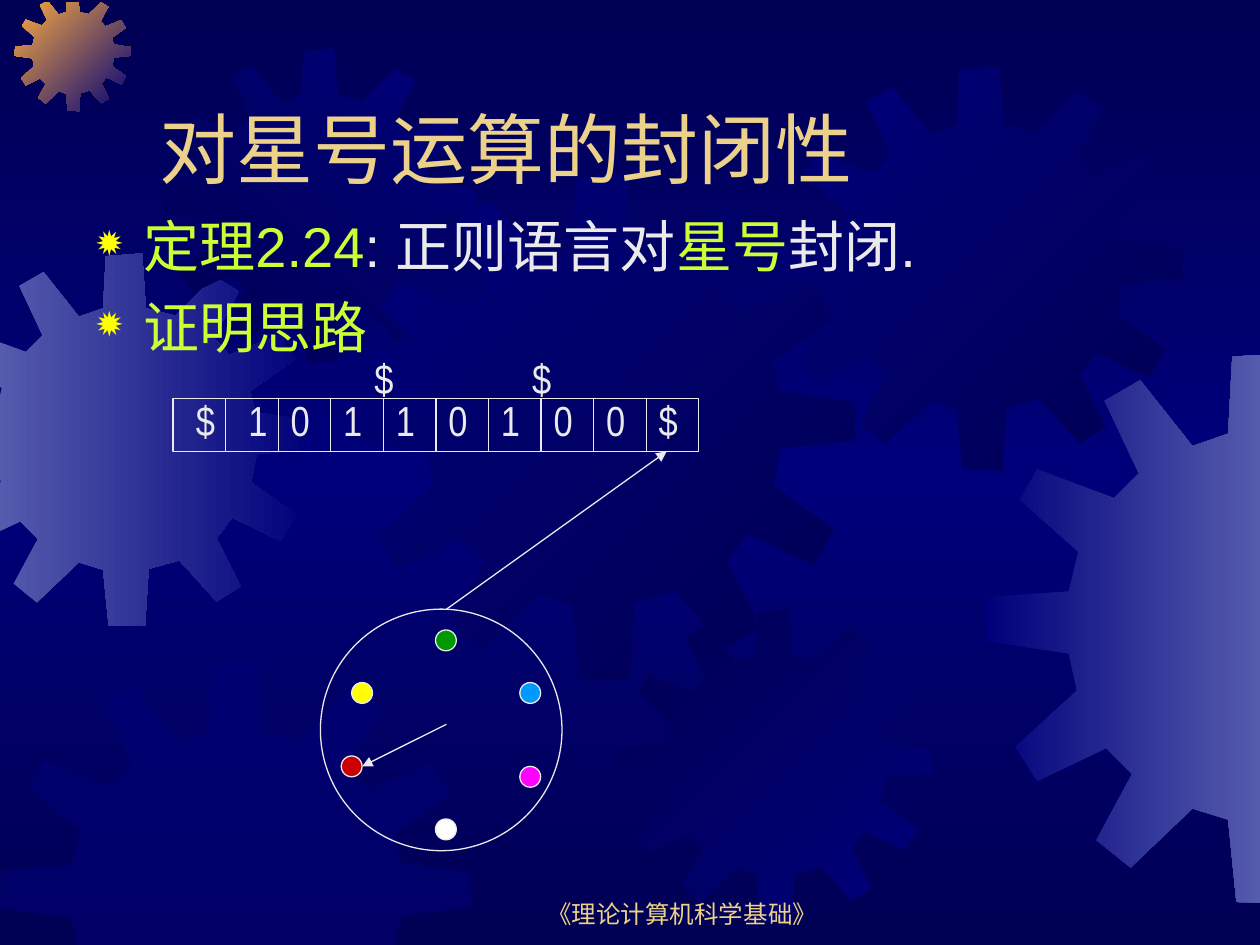
from pptx import Presentation
from pptx import util as u
from pptx.dml import color as col
from pptx.enum import shapes, text
from pptx.oxml import parse_xml
from pptx.oxml import ns
from copy import deepcopy

PALE, GOLD, LIME = "EAEAEA", "EBD189", "CCFF33"
DARK, NAVY, MIST = "000054", "00007A", "555BAD"
SPAN = 401
TEETH = [
    (255, 67), (223, 59), (219, 0), (180, 3), (177, 59), (151, 68),
    (113, 20), (87, 35), (112, 88), (94, 106), (38, 85), (25, 107),
    (68, 145), (61, 174), (1, 178), (0, 210), (61, 219), (67, 246),
    (22, 287), (38, 312), (88, 288), (107, 307), (81, 355), (106, 375),
    (151, 332), (177, 340), (183, 400), (222, 401), (226, 339), (259, 330),
    (299, 374), (325, 358), (299, 306), (316, 284), (368, 309), (384, 281),
    (336, 246), (342, 216), (401, 210), (400, 180), (341, 171), (335, 148),
    (383, 114), (367, 87), (313, 109), (296, 91), (323, 41), (297, 25),
]
EDGES = [(0, -0.03, 1), (0, 25.43, -1), (1, 0.05, 1), (1, 19.15, -1)]


def rgb(code):
    """Turn a hex string into a colour."""
    return col.RGBColor.from_string(code)


def tag(name, **attrs):
    """Make one drawing element."""
    pairs = "".join(f' {key}="{val}"' for key, val in attrs.items())
    return parse_xml(f"<a:{name} {ns.nsdecls('a')}{pairs}/>")


def clip(points, axis, edge, sign):
    """Cut an outline along one straight edge."""
    kept = []
    for a, b in zip(points, points[1:] + points[:1]):
        da, db = sign * (a[axis] - edge), sign * (b[axis] - edge)
        if da >= 0:
            kept.append(a)
        if da * db < 0:
            t = da / (da - db)
            kept.append(tuple(p + t * (q - p) for p, q in zip(a, b)))
    return kept


def blend(fill, first, last, angle):
    """Set a two-colour gradient with a clockwise angle."""
    fill.gradient()
    fill.gradient_angle = (360 - angle) % 360
    for stop, code, place in zip(fill.gradient_stops, (first, last), (0, 1)):
        stop.color.rgb = rgb(code)
        stop.position = place


class Deck:
    """Holds the style and the current slide."""

    def __init__(self):
        """Start a presentation with one title-only slide."""
        self.prs = Presentation()
        self.prs.slide_width, self.prs.slide_height = u.Cm(25.4), u.Cm(19.05)
        self.slide = self.prs.slides.add_slide(self.prs.slide_layouts[5])
        self.shapes = self.slide.shapes
        self.font, self.thin = "Arial", u.Pt(0.75)

    def back(self):
        """Shade the background dark, lighter, dark from top to bottom."""
        fill = self.slide.background.fill
        blend(fill, DARK, NAVY, 90)
        fill.gradient_stops[1].position = 0.5
        stops = self.slide.background._cSld.find(".//" + ns.qn("a:gsLst"))
        end = deepcopy(stops[0])
        end.set("pos", "100000")
        stops.append(end)

    def gear(self, x, y, size, first, last=None, angle=0):
        """Draw a gear wheel, cut at the slide edges."""
        points = [(x + px * size / SPAN, y + py * size / SPAN) for px, py in TEETH]
        for edge in EDGES:
            points = clip(points, *edge)
        points = [(u.Cm(px), u.Cm(py)) for px, py in points]
        pen = self.shapes.build_freeform(*points[0])
        pen.add_line_segments(points[1:])
        wheel = pen.convert_to_shape()
        wheel.shadow.inherit = False
        wheel.line.fill.background()
        if last:
            blend(wheel.fill, first, last, angle)
        else:
            wheel.fill.solid()
            wheel.fill.fore_color.rgb = rgb(first)
            tint = wheel._element.spPr.find(".//" + ns.qn("a:srgbClr"))
            tint.append(tag("alpha", val=50000))

    def style(self, font, size, code, name=None):
        """Format a font."""
        font.size, font.name = u.Pt(size), name or self.font
        font.color.rgb = rgb(code)

    def title(self, words, x, y, w, h):
        """Place and format the title above the gears."""
        head = self.shapes.title
        head.left, head.top, head.width, head.height = map(u.Cm, (x, y, w, h))
        frame = head.text_frame
        frame.text = words
        frame.vertical_anchor = text.MSO_ANCHOR.BOTTOM
        para = frame.paragraphs[0]
        para.alignment = text.PP_ALIGN.LEFT
        self.style(para.runs[0].font, 44, GOLD)
        self.shapes._spTree.append(head._element)

    def box(self, x, y, w, h):
        """Add an empty wrapping text box and return its frame."""
        frame = self.shapes.add_textbox(*map(u.Cm, (x, y, w, h))).text_frame
        frame.word_wrap = True
        return frame

    def label(self, words, x, y, w, h, size, code, name=None):
        """Add one line of text and return its frame."""
        frame = self.box(x, y, w, h)
        frame.text = words
        self.style(frame.paragraphs[0].runs[0].font, size, code, name)
        return frame

    def sign(self, mark, x, y):
        """Write one tape symbol."""
        self.label(mark, x, y, 1.06, 1.27, 24, PALE, "Arial Narrow")

    def points(self, items, x, y, w, h):
        """Add a bulleted list of coloured runs."""
        frame = self.box(x, y, w, h)
        for i, item in enumerate(items):
            para = frame.add_paragraph() if i else frame.paragraphs[0]
            props = para._p.get_or_add_pPr()
            props.set("marL", str(u.Cm(0.95)))
            props.set("indent", str(u.Cm(-0.95)))
            paint = tag("buClr")
            paint.append(tag("srgbClr", val="FFFF00"))
            props.extend([paint, tag("buSzPct", val=80000), tag("buChar", char="✹")])
            if i:
                para.space_before = u.Pt(8)
            for words, code in item:
                run = para.add_run()
                run.text = words
                self.style(run.font, 32, code)

    def shape(self, kind, x, y, w, h, code=None):
        """Draw an outlined shape, filled when a colour is given."""
        item = self.shapes.add_shape(kind, *map(u.Cm, (x, y, w, h)))
        item.shadow.inherit = False
        item.line.color.rgb, item.line.width = rgb(PALE), self.thin
        if code:
            item.fill.solid()
            item.fill.fore_color.rgb = rgb(code)
        else:
            item.fill.background()

    def arrow(self, *ends):
        """Draw a line with a head at its end."""
        line = self.shapes.add_connector(shapes.MSO_CONNECTOR.STRAIGHT, *map(u.Cm, ends))
        line.line.color.rgb, line.line.width = rgb(PALE), self.thin
        line.line._get_or_add_ln().append(tag("tailEnd", type="triangle"))
        line._element.spPr.append(tag("effectLst"))


def main():
    """Build the slide."""
    deck = Deck()
    deck.back()
    for wheel in [
        (-1.24, 5.11, 7.52, MIST, NAVY, 0), (0.3, -0.1, 2.34, "FCAB40", NAVY, 45),
        (3.3, 0.99, 6.3, DARK, NAVY, 315), (7.04, 3.53, 10.2, NAVY, DARK, 45),
        (0, 13.33, 9.5, NAVY), (12.47, 12.29, 6.3, DARK, NAVY, 45),
        (15.7, 1.35, 8.13, NAVY, DARK, 45), (19.86, 7.11, 11.1, NAVY, MIST, 0),
    ]:
        deck.gear(*wheel)
    foot = deck.label("《理论计算机科学基础》", 9.73, 17.58, 8.05, 1.27, 14, GOLD)
    foot.vertical_anchor = text.MSO_ANCHOR.BOTTOM
    foot.paragraphs[0].alignment = text.PP_ALIGN.CENTER
    deck.title("对星号运算的封闭性", 2.96, 0.85, 21.59, 3.18)
    deck.points([
        [("定理2.24", LIME), (": 正则语言对", PALE), ("星号", LIME), ("封闭.", PALE)],
        [("证明思路", LIME)],
    ], 1.69, 4.13, 21.59, 3.6)

    rect, oval = shapes.MSO_SHAPE.RECTANGLE, shapes.MSO_SHAPE.OVAL
    for i, mark in enumerate("$10110100$"):
        x = 3.49 + 1.06 * i
        deck.shape(rect, x, 8.04, 1.06, 1.06)
        deck.sign(mark, x + (0.21 if i < 2 else 0), 7.83)
    for x in (7.3, 10.48):
        deck.sign("$", x, 6.99)

    deck.shape(oval, 6.46, 12.28, 4.87, 4.87)
    for x, y, code in [
        (8.78, 12.7, "009900"), (10.48, 13.76, "0099FF"), (10.48, 15.45, "FF00FF"),
        (8.78, 16.51, "FFFFFF"), (6.88, 15.24, "CC0000"), (7.09, 13.76, "FFFF00"),
    ]:
        deck.shape(oval, x, y, 0.42, 0.42, code)
    deck.arrow(9, 12.28, 13.44, 9.1)
    deck.arrow(9, 14.6, 7.3, 15.45)
    deck.prs.save("out.pptx")


if __name__ == "__main__":
    main()
